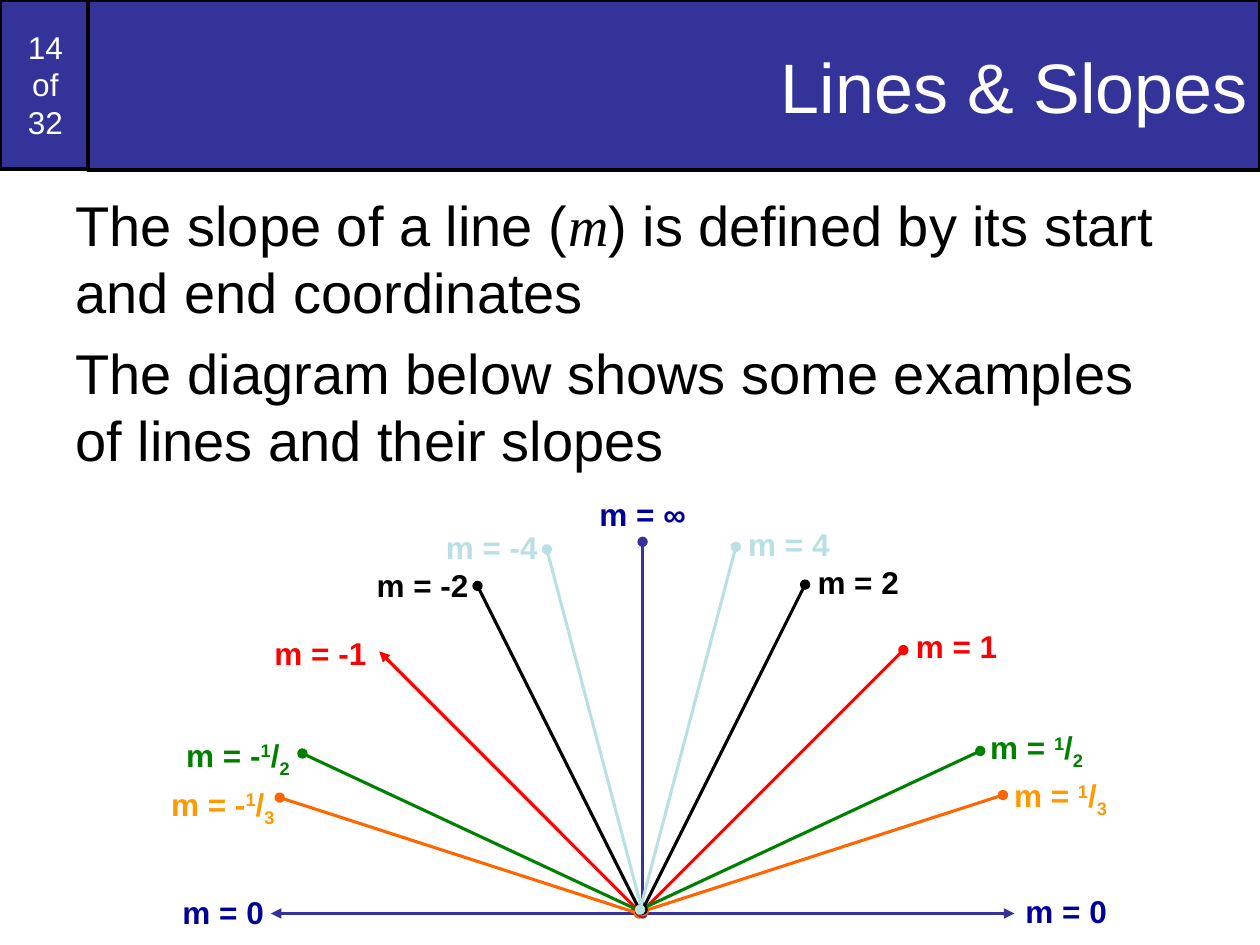
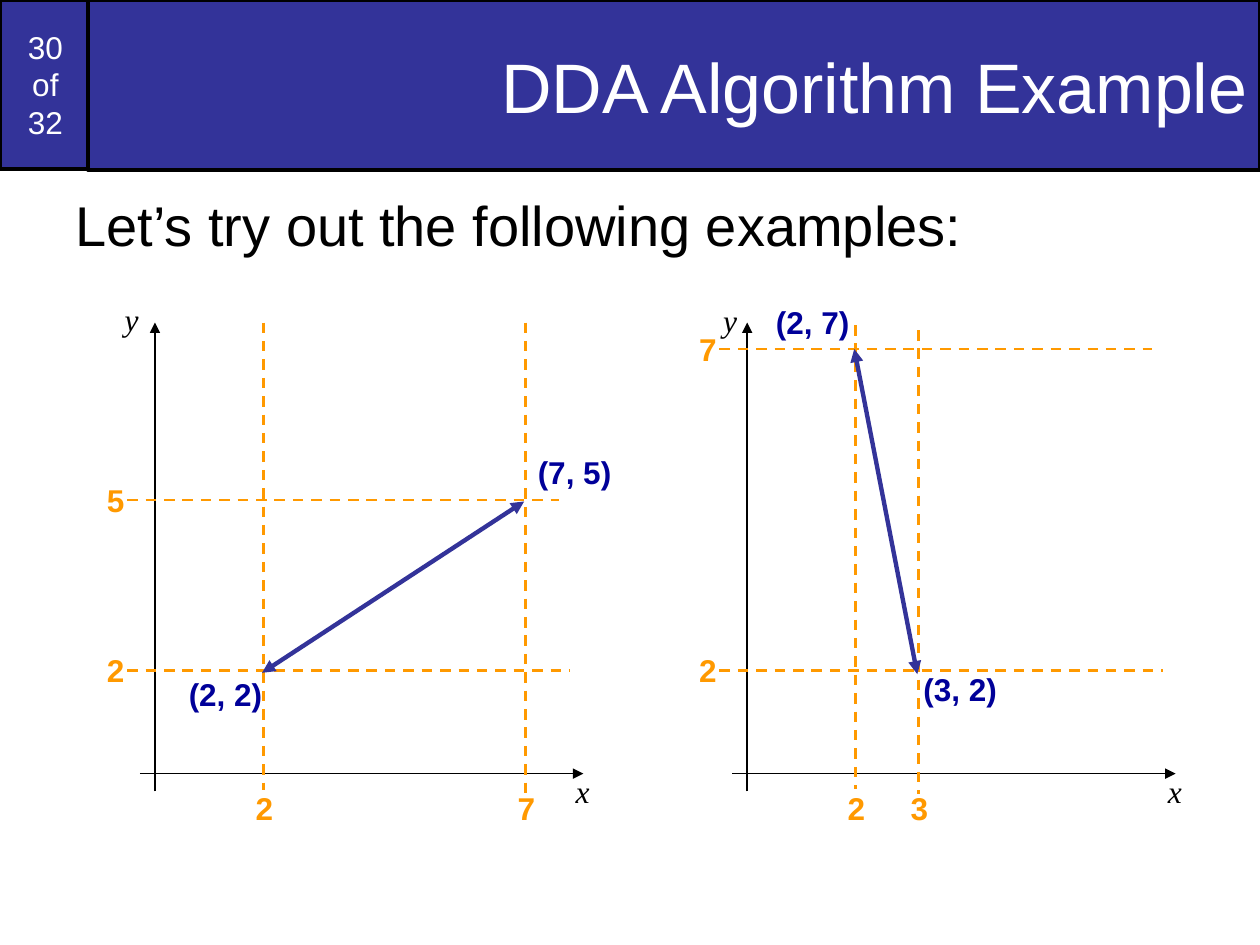
from lxml import etree
from pptx import Presentation
from pptx import util as u
from pptx.dml.color import RGBColor
from pptx.enum import dml, shapes, text
from pptx.oxml.ns import qn

PX = 9144
BLUE = RGBColor(0x33, 0x33, 0x99)
NAVY = RGBColor(0x00, 0x00, 0x99)
BLACK = RGBColor(0x00, 0x00, 0x00)
WHITE = RGBColor(0xFF, 0xFF, 0xFF)
RED = RGBColor(0xFF, 0x00, 0x00)
FLAME = RGBColor(0xFF, 0x66, 0x00)
GOLD = RGBColor(0xFF, 0x99, 0x00)
GREEN = RGBColor(0x00, 0x80, 0x00)
PALE = RGBColor(0xBB, 0xE0, 0xE3)
SANS, SERIF = "Arial", "Times New Roman"

PAGES = 32
SLOPES = {
    "page": 14, "title": "Lines & Slopes", "tall": 250,
    "body": [
        [("The slope of a line (", False), ("m", True),
         (") is defined by its start and end coordinates", False)],
        [("The diagram below shows some examples of lines and their slopes", False)],
    ],
}
DDA = {
    "page": 30, "title": "DDA Algorithm Example", "tall": 604,
    "body": [[("Let’s try out the following examples:", False)]],
}

# slope, line, ink, run, rise, (left foot, label, mark), (right foot, label, mark)
RAYS = [
    ("1", RED, RED, 208, 208,
     ((509, 725), (208, 498), "triangle"), ((509, 724), (717, 493), "oval")),
    ("1/3", FLAME, GOLD, 285, 92,
     ((507, 725), (126, 618), "oval"), ((511, 723), (795, 611), "oval")),
    ("1/2", GREEN, GREEN, 270, 126,
     ((510, 724), (138, 579), "oval"), ((508, 722), (776, 573), "oval")),
    ("2", BLACK, BLACK, 129, 258,
     ((508, 723), (289, 444), "oval"), ((510, 722), (639, 442), "oval")),
    ("4", PALE, PALE, 76, 288,
     ((510, 724), (344, 414), "oval"), ((508, 722), (584, 412), "oval")),
]
FLAT = [((135, 704), "0"), ((804, 703), "0")]

# rows: value, y, right end; cols: value, x, top, bottom; ends: text, label spot
PLOTS = [
    {"left": 0, "y": (89, 233),
     "rows": [("2", 532, 452), ("5", 397, 444)],
     "cols": [("2", 209, 256, 627), ("7", 417, 256, 631)],
     "line": ((208, 534), (416, 398)),
     "ends": [("(2, 2)", (140, 531)), ("(7, 5)", (417, 355))]},
    {"left": 470, "y": (94, 234),
     "rows": [("2", 532, 453), ("7", 277, 444)],
     "cols": [("2", 209, 258, 626), ("3", 259, 262, 630)],
     "line": ((208, 277), (258, 535)),
     "ends": [("(2, 7)", (136, 236)), ("(3, 2)", (253, 527))]},
]


def style(font, size, ink, face=SANS, bold=False, slant=False):
    font.size, font.name = u.Pt(size), face
    font.bold, font.italic = bold, slant
    font.color.rgb = ink


def place(shape, *box):
    shape.left, shape.top, shape.width, shape.height = [n * PX for n in box]


def band(shape):
    shape.fill.solid()
    shape.fill.fore_color.rgb = BLUE
    shape.line.color.rgb = BLACK
    shape.line.width = u.Pt(2)
    shape.text_frame.vertical_anchor = text.MSO_ANCHOR.MIDDLE


def fill_in(shape, words, size, align):
    par = shape.text_frame.paragraphs[0]
    par.text = words
    par.alignment = align
    style(par.font, size, WHITE)
    return par


def fill_body(body, items):
    frame = body.text_frame
    frame.auto_size = text.MSO_AUTO_SIZE.NONE
    for i, parts in enumerate(items):
        par = frame.add_paragraph() if i else frame.paragraphs[0]
        props = par._p.get_or_add_pPr()
        props.set("marL", "0")
        props.set("indent", "0")
        etree.SubElement(props, qn("a:buNone"))
        par.space_before = u.Pt(8)
        style(par.font, 32, BLACK)
        for words, math in parts:
            run = par.add_run()
            run.text = words
            if math:
                run.font.name, run.font.italic = SERIF, True


def add_page(deck, data):
    slide = deck.slides.add_slide(deck.slide_layouts[1])
    title, body = slide.placeholders
    tile = slide.shapes.add_shape(shapes.MSO_SHAPE.RECTANGLE, 0, 0, 72 * PX, 134 * PX)
    tile.shadow.inherit = False
    slide.shapes._spTree.insert(2, tile._element)
    band(tile)
    num = fill_in(tile, f"{data['page']}\nof\n{PAGES}", 18, text.PP_ALIGN.CENTER)
    num.space_before = u.Pt(11.2)
    place(title, 70, 0, 930, 135)
    band(title)
    fill_in(title, data["title"], 40, text.PP_ALIGN.RIGHT)
    place(body, 50, 146, 900, data["tall"])
    fill_body(body, data["body"])
    return slide


def draw(group, start, end, ink, width, head=None, tail=None, dash=False):
    ends = [n * PX for n in (*start, *end)]
    link = group.shapes.add_connector(shapes.MSO_CONNECTOR.STRAIGHT, *ends)
    link.line.color.rgb = ink
    link.line.width = u.Pt(width)
    if dash:
        link.line.dash_style = dml.MSO_LINE.DASH
    stroke = link.line._get_or_add_ln()
    for tag, mark in (("a:headEnd", head), ("a:tailEnd", tail)):
        if mark:
            etree.SubElement(stroke, qn(tag), type=mark)
    etree.SubElement(link._element.spPr, qn("a:effectLst"))


def label(group, spot, wide, words, ink, face=SANS, tall=40):
    box = group.shapes.add_textbox(*[n * PX for n in (*spot, wide, tall)])
    frame = box.text_frame
    frame.word_wrap = False
    frame.auto_size = text.MSO_AUTO_SIZE.SHAPE_TO_FIT_TEXT
    par = frame.paragraphs[0]
    par.alignment = text.PP_ALIGN.LEFT
    style(par.font, 18, ink, face, face == SANS, face == SERIF)
    par.add_run().text = words
    return par


def slope_label(group, spot, sign, slope, ink):
    wide = 98 if sign else 90
    top, bar, low = slope.partition("/")
    if not bar:
        label(group, spot, wide, f"m = {sign}{slope}", ink)
        return
    par = label(group, spot, wide + 8, f"m = {sign}", ink, tall=44)
    for words, shift in ((top, "30000"), (bar, "0"), (low, "-25000")):
        run = par.add_run()
        run.text = words
        run._r.get_or_add_rPr().set("baseline", shift)


def draw_fan(slide):
    fan = slide.shapes.add_group_shape()
    draw(fan, (215, 725), (805, 725), BLUE, 1.75, "triangle", "triangle")
    for side, sign in enumerate(("-", "")):
        way = 1 if side else -1
        for slope, ink, tint, run, rise, *sides in RAYS:
            (x, y), spot, mark = sides[side]
            draw(fan, (x, y), (x + way * run, y - rise), ink, 1.75, mark, mark)
            slope_label(fan, spot, sign, slope, tint)
        if not side:
            draw(fan, (510, 725), (510, 430), BLUE, 1.75, "oval", "oval")
    label(fan, (466, 388), 94, "m = ∞", NAVY)
    for spot, slope in FLAT:
        slope_label(fan, spot, "", slope, NAVY)


def draw_plot(slide, plot):
    group = slide.shapes.add_group_shape()

    def at(x, y):
        return plot["left"] + x, y

    draw(group, at(123, 628), at(123, 256), BLACK, 1, tail="triangle")
    draw(group, at(111, 614), at(463, 614), BLACK, 1, tail="triangle")
    label(group, at(447, 608), 31, "x", BLACK, SERIF)
    label(group, at(*plot["y"]), 31, "y", BLACK, SERIF)
    for value, y, end in plot["rows"]:
        draw(group, at(101, y), at(end, y), GOLD, 1.5, dash=True)
        label(group, at(75, y - 20), 34, value, GOLD)
    for value, x, top, low in plot["cols"]:
        draw(group, at(x, top), at(x, low), GOLD, 1.5, dash=True)
        label(group, at(x - 16, 621), 34, value, GOLD)
    start, end = plot["line"]
    draw(group, at(*start), at(*end), BLUE, 2.5, "triangle", "triangle")
    for words, spot in plot["ends"]:
        label(group, at(*spot), 84, words, NAVY)


def main():
    deck = Presentation()
    deck.slide_width, deck.slide_height = 1000 * PX, 750 * PX
    draw_fan(add_page(deck, SLOPES))
    slide = add_page(deck, DDA)
    for plot in PLOTS:
        draw_plot(slide, plot)
    deck.save("out.pptx")


if __name__ == "__main__":
    main()
